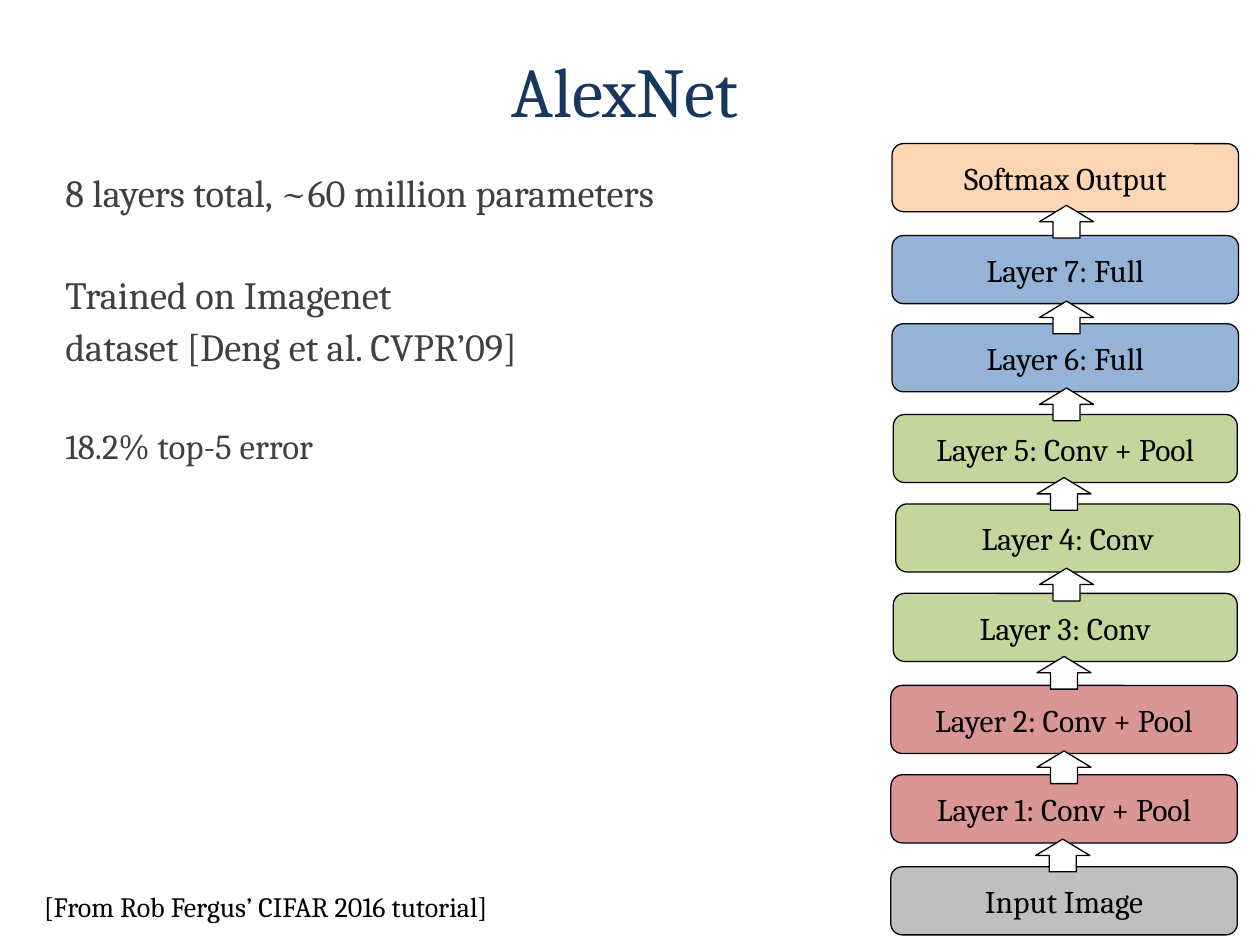
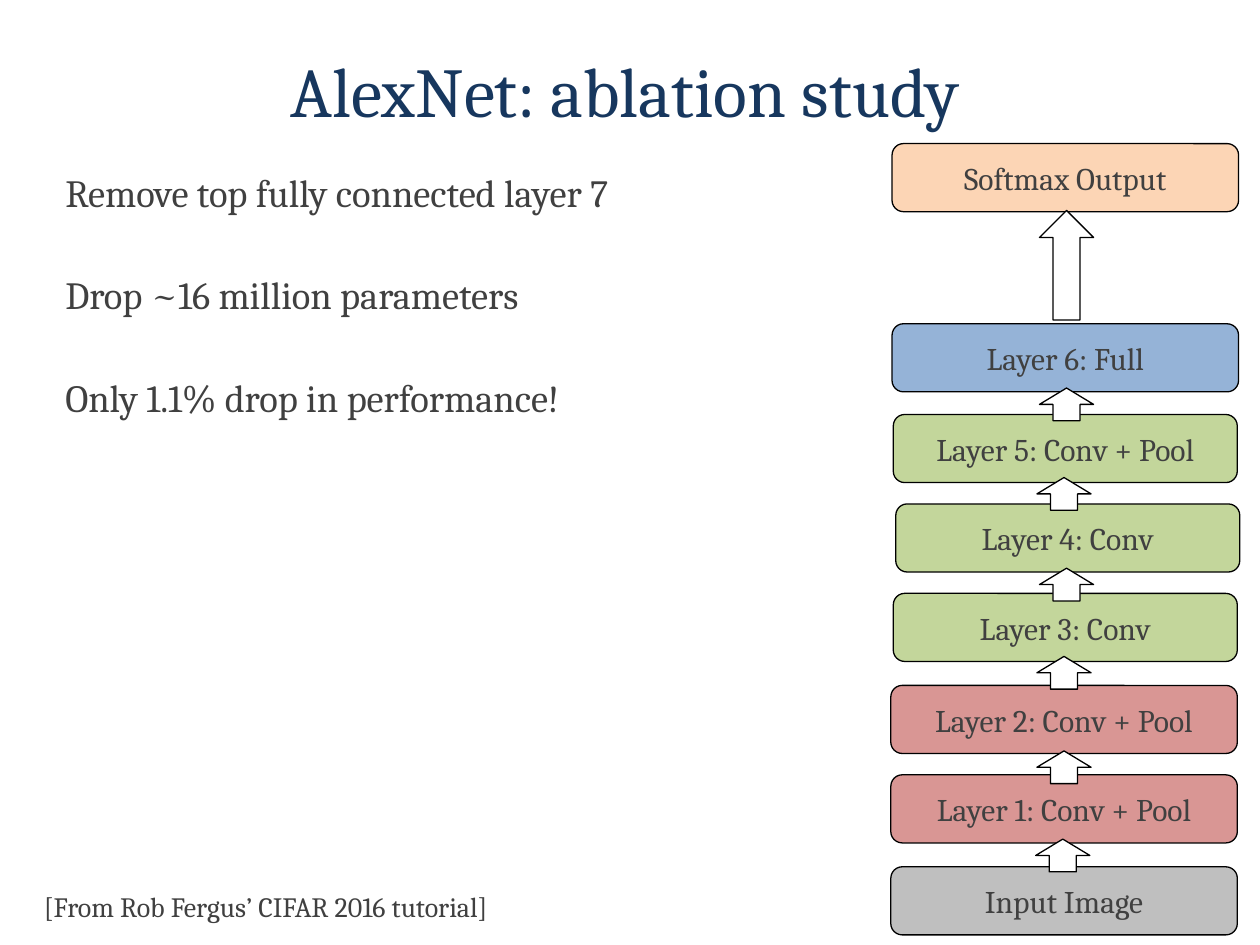
"""Build two slides on AlexNet: its layer stack and an ablation study."""
from pptx import Presentation
from pptx.dml.color import RGBColor
from pptx.enum import shapes, text
from pptx.util import Inches, Pt

FONT = "Cambria"
NAVY, GREY, BLACK, WHITE = "17375E", "404040", "000000", "FFFFFF"
PEACH, BLUE, GREEN, RED, SILVER = "FCD5B5", "95B3D7", "C3D69B", "D99694", "BFBFBF"
SOURCE = "[From Rob Fergus’ CIFAR 2016 tutorial]"

TITLE_BOX = (0.17, 0.33, 9.58, 0.77)
BODY_BOX = (0.42, 1.25, 9.17, 2.95)
SOURCE_BOX = (0.25, 7.01, 9.75, 1.02)
BOX_H, ARROW_W, ARROW_H = 0.54, 0.43, 0.26

# label: (fill, left, top, width, left and top of the arrow into it)
LAYERS = {
    "Softmax Output": (PEACH, 7.08, 1.14, 2.75, (8.25, 1.63)),
    "Layer 7: Full": (BLUE, 7.08, 1.87, 2.75, (8.25, 2.39)),
    "Layer 6: Full": (BLUE, 7.08, 2.57, 2.75, (8.25, 3.08)),
    "Layer 5: Conv + Pool": (GREEN, 7.09, 3.29, 2.73, (8.23, 3.79)),
    "Layer 4: Conv": (GREEN, 7.11, 4.0, 2.73, (8.25, 4.51)),
    "Layer 3: Conv": (GREEN, 7.09, 4.71, 2.73, (8.23, 5.21)),
    "Layer 2: Conv + Pool": (RED, 7.07, 5.44, 2.75, (8.23, 5.96)),
    "Layer 1: Conv + Pool": (RED, 7.07, 6.15, 2.75, (8.22, 6.66)),
    "Input Image": (SILVER, 7.07, 6.88, 2.75, None),
}

SLIDES = [
    {
        "title": "AlexNet",
        "body": [
            ("8 layers total, ~60 million parameters", 22),
            ("Trained on Imagenet\ndataset [Deng et al. CVPR’09]", 22),
            ("18.2% top-5 error", 20),
        ],
        "ink": BLACK,
        "removed": (),
        "long_arrows": {},
    },
    {
        "title": "AlexNet: ablation study",
        "body": [
            ("Remove top fully connected layer 7", 22),
            ("Drop ~16 million parameters", 22),
            ("Only 1.1% drop in performance!", 22),
        ],
        "ink": GREY,
        "removed": ("Layer 7: Full",),
        "long_arrows": {"Softmax Output": (8.25, 1.67, 0.87)},
    },
]


def rgb(value):
    """Turn a hex string into a colour."""
    return RGBColor.from_string(value)


def inches(box):
    """Turn a tuple of numbers into lengths."""
    return [Inches(n) for n in box]


def write(tf, lines, color=BLACK, align=text.PP_ALIGN.LEFT,
          anchor=text.MSO_ANCHOR.TOP, spacing=1.0, gap=0):
    """Fill a text frame with (text, size) paragraphs."""
    tf.word_wrap = True
    tf.auto_size = text.MSO_AUTO_SIZE.NONE
    tf.vertical_anchor = anchor
    tf.margin_left = tf.margin_right = Inches(0.1)
    tf.margin_top = tf.margin_bottom = Inches(0.05)
    for i, (line, size) in enumerate(lines):
        p = tf.add_paragraph() if i else tf.paragraphs[0]
        p.text = line
        p.alignment = align
        p.line_spacing = spacing
        p.space_before = Pt(gap if i else 0)
        for r in p.runs:
            r.font.name, r.font.size = FONT, Pt(size)
            r.font.color.rgb = rgb(color)


def add_text(s, box, lines, **fmt):
    """Add a text box."""
    write(s.shapes.add_textbox(*inches(box)).text_frame, lines, **fmt)


def add_outlined(s, kind, box, fill):
    """Add a filled shape with a thin black outline."""
    sp = s.shapes.add_shape(kind, *inches(box))
    sp.shadow.inherit = False
    sp.fill.solid()
    sp.fill.fore_color.rgb = rgb(fill)
    sp.line.color.rgb = rgb(BLACK)
    sp.line.width = Pt(0.75)
    return sp


def add_network(s, ink, removed, long_arrows):
    """Draw the layer boxes, then the arrows between them."""
    kept = {name: row for name, row in LAYERS.items() if name not in removed}
    for name, (fill, left, top, width, _) in kept.items():
        sp = add_outlined(s, shapes.MSO_SHAPE.ROUNDED_RECTANGLE,
                          (left, top, width, BOX_H), fill)
        write(sp.text_frame, [(name, 18)], color=ink,
              align=text.PP_ALIGN.CENTER, anchor=text.MSO_ANCHOR.MIDDLE)
    for name, (*_, arrow) in kept.items():
        if arrow:
            left, top, height = long_arrows.get(name, (*arrow, ARROW_H))
            add_outlined(s, shapes.MSO_SHAPE.UP_ARROW,
                         (left, top, ARROW_W, height), WHITE)


def add_slide(prs, data):
    """Add one slide with title, body, network and source line."""
    s = prs.slides.add_slide(prs.slide_layouts[5])
    title = s.shapes.title
    title.left, title.top, title.width, title.height = inches(TITLE_BOX)
    write(title.text_frame, [(data["title"], 40)], color=NAVY,
          align=text.PP_ALIGN.CENTER)
    add_text(s, BODY_BOX, data["body"], color=GREY, spacing=1.11, gap=29.3)
    add_network(s, data["ink"], data["removed"], data["long_arrows"])
    add_text(s, SOURCE_BOX, [(SOURCE, 16)], color=data["ink"])


def main():
    """Build and save the presentation."""
    prs = Presentation()
    prs.slide_width, prs.slide_height = Inches(10), Inches(7.5)
    for data in SLIDES:
        add_slide(prs, data)
    prs.save("out.pptx")


if __name__ == "__main__":
    main()
